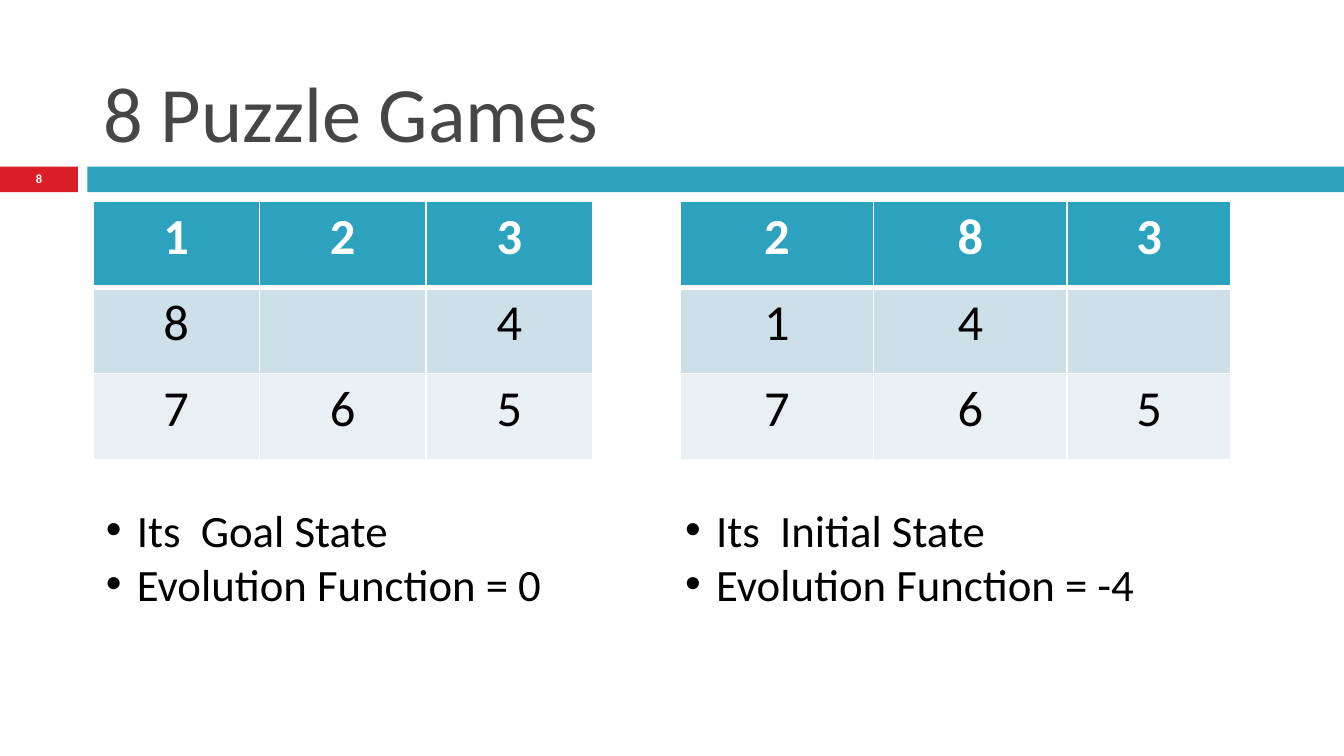
import pptx
import pptx.dml.color
import pptx.enum.shapes
import pptx.enum.text
import pptx.oxml
import pptx.oxml.ns
import pptx.util
from pptx.dml.color import RGBColor
from pptx.util import Inches

RED = RGBColor(0xDA, 0x1F, 0x28)
TEAL = RGBColor(0x2D, 0xA2, 0xBF)
PALE_BLUE = RGBColor(0xCD, 0xE0, 0xE8)
PALER_BLUE = RGBColor(0xE8, 0xF0, 0xF4)
GREY = RGBColor(0x46, 0x46, 0x46)
WHITE = RGBColor(0xFF, 0xFF, 0xFF)
BLACK = RGBColor(0, 0, 0)

ALIGN = pptx.enum.text.PP_ALIGN
ANCHOR = pptx.enum.text.MSO_ANCHOR


class Deck:
    font = "Calibri"
    row_fills = (TEAL, PALE_BLUE, PALER_BLUE)
    row_height = 0.64

    def __init__(self, width):
        """Start a 16:9 deck with one blank slide."""
        self.prs = pptx.Presentation()
        self.prs.slide_width = Inches(width)
        self.prs.slide_height = Inches(width * 9 / 16)
        self.s = self.prs.slides.add_slide(self.prs.slide_layouts[6])

    def format_text(self, tf, size, color, bold=False, align=ALIGN.LEFT):
        for p in tf.paragraphs:
            p.alignment = align
            for r in p.runs:
                r.font.name = self.font
                r.font.size = pptx.util.Pt(size)
                r.font.bold = bold
                r.font.color.rgb = color

    def bar(self, left, width, color):
        sp = self.s.shapes.add_shape(
            pptx.enum.shapes.MSO_SHAPE.RECTANGLE,
            Inches(left), Inches(1.24), Inches(width), Inches(0.19))
        sp.shadow.inherit = False
        sp.fill.solid()
        sp.fill.fore_color.rgb = color
        sp.line.fill.background()

    def text(self, box, text, size, color, anchor=ANCHOR.TOP, **style):
        sp = self.s.shapes.add_textbox(*map(Inches, box))
        tf = sp.text_frame
        tf.word_wrap = True
        tf.vertical_anchor = anchor
        tf.text = text
        self.format_text(tf, size, color, **style)
        return tf

    def bullets(self, left, lines):
        tf = self.text((left, 3.69, 3.77, 0.91), "\n".join(lines), 24, BLACK)
        for p in tf.paragraphs:
            pPr = p._p.get_or_add_pPr()
            pPr.set("marL", str(Inches(0.23)))
            pPr.set("indent", str(-Inches(0.23)))
            ns = pptx.oxml.ns.nsdecls("a")
            pPr.append(pptx.oxml.parse_xml(f'<a:buFont {ns} typeface="Arial"/>'))
            pPr.append(pptx.oxml.parse_xml(f'<a:buChar {ns} char="•"/>'))

    def borders(self, cell, widths):
        """Add white borders; widths maps each side's letter to points."""
        tcPr = cell._tc.get_or_add_tcPr()
        for i, (side, width) in enumerate(widths.items()):
            tcPr.insert(i, pptx.oxml.parse_xml(
                f'<a:ln{side} {pptx.oxml.ns.nsdecls("a")} w="{pptx.util.Pt(width)}">'
                f'<a:solidFill><a:srgbClr val="{WHITE}"/></a:solidFill></a:ln{side}>'))

    def puzzle(self, left, col_widths, rows):
        """Draw a board; a space in a row is the empty square."""
        table = self.s.shapes.add_table(
            len(rows), len(col_widths), Inches(left), Inches(1.5),
            Inches(sum(col_widths)), Inches(self.row_height * len(rows))).table
        for col, width in zip(table.columns, col_widths):
            col.width = Inches(width)
        for i, (row, fill) in enumerate(zip(rows, self.row_fills)):
            table.rows[i].height = Inches(self.row_height)
            for j, tile in enumerate(row):
                cell = table.cell(i, j)
                cell.margin_top = cell.margin_bottom = Inches(0.04)
                cell.text = tile.strip()
                self.format_text(cell.text_frame, 27, BLACK if i else WHITE,
                                 bold=i == 0, align=ALIGN.CENTER)
                cell.fill.solid()
                cell.fill.fore_color.rgb = fill
                self.borders(cell, {"L": 1, "R": 1, "T": 3 if i == 1 else 1,
                                    "B": 3 if i == 0 else 1})


def main():
    deck = Deck(10)
    deck.bar(0, 0.58, RED)
    deck.bar(0.65, 9.35, TEAL)
    deck.text((0.67, 0.13, 8.92, 1.1), "8 Puzzle Games", 42, GREY, ANCHOR.BOTTOM)
    deck.puzzle(0.69, (1.24, 1.24, 1.24), ("123", "8 4", "765"))
    deck.puzzle(5.06, (1.44, 1.44, 1.22), ("283", "14 ", "765"))
    deck.bullets(0.69, ("Its  Goal State", "Evolution Function = 0"))
    deck.bullets(5, ("Its  Initial State", "Evolution Function = -4"))
    deck.text((0, 1.23, 0.58, 0.2), "8", 6.7, WHITE, ANCHOR.MIDDLE,
              bold=True, align=ALIGN.CENTER)
    deck.prs.save("out.pptx")


if __name__ == "__main__":
    main()
